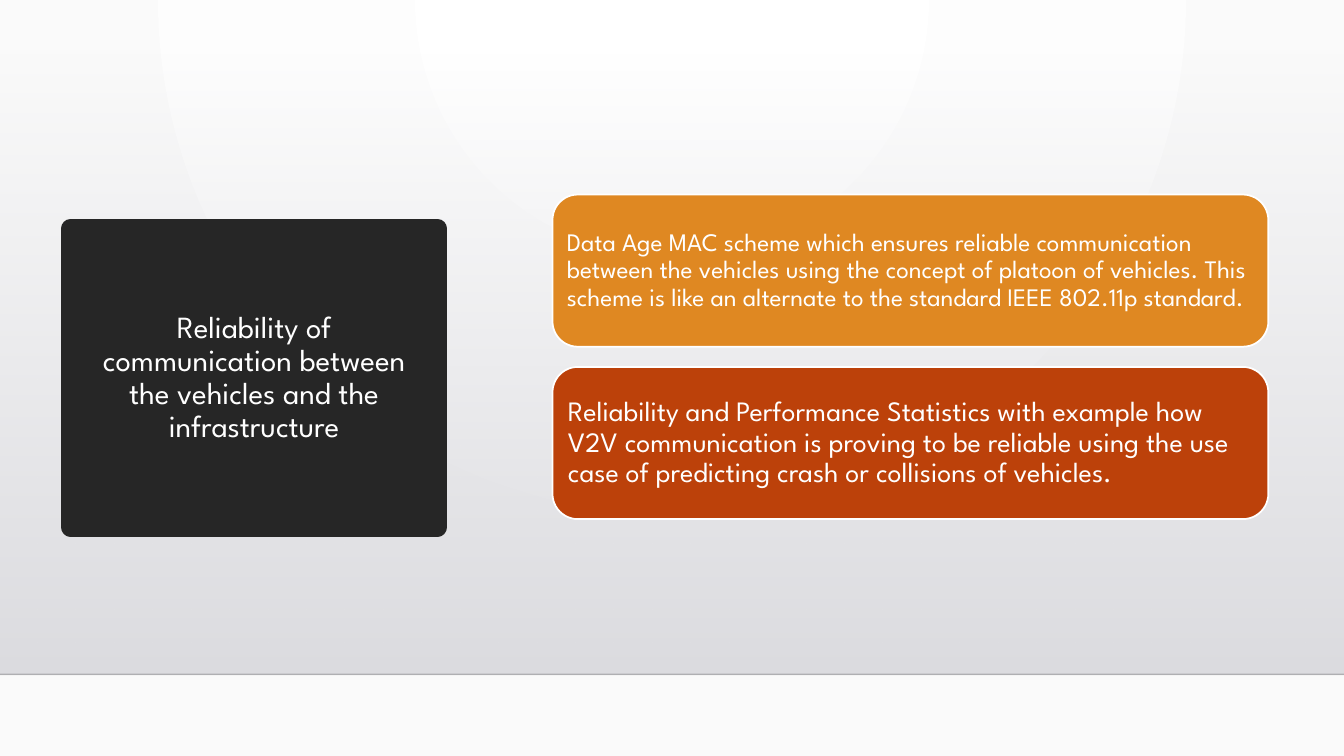
from lxml.etree import SubElement
from pptx import Presentation
from pptx.dml.color import RGBColor
from pptx.enum.shapes import MSO_CONNECTOR, MSO_SHAPE
from pptx.enum.text import MSO_ANCHOR, PP_ALIGN
from pptx.oxml import parse_xml
from pptx.oxml.ns import nsdecls, qn
from pptx.util import Inches, Pt

COLORS = {
    "white": "FFFFFF",
    "backdrop": "FAFAFA",
    "haze_top": "DCDCE0",
    "haze_bottom": "DEDEE2",
    "floor": "000001",
    "title": "262626",
    "orange": "DF8822",
    "rust": "BC410A",
}
FONT = "League Spartan"
WIDTH, HEIGHT = 13.33, 7.5
FLOOR_TOP = 6.69
CARD_TOP, CARD_STEP = 1.93, 1.71
CARDS = [
    ("Data Age MAC scheme which ensures reliable communication between the "
     "vehicles using the concept of platoon of vehicles. This scheme is like "
     "an alternate to the standard IEEE 802.11p standard.", "orange", 18, 0.07),
    ("Reliability and Performance Statistics with example how V2V communication "
     "is proving to be reliable using the use case of predicting crash or "
     "collisions of vehicles.", "rust", 20, 0.08),
]


def rgb(name):
    """Return the named colour as an RGBColor."""
    return RGBColor.from_string(COLORS[name])


def gradient_xml(stops, direction):
    """Build a gradient fill from (position, colour, alpha) stops in percent."""
    stop_list = "".join(
        f'<a:gs pos="{position * 1000}"><a:srgbClr val="{COLORS[color]}">'
        f'<a:alpha val="{alpha * 1000}"/></a:srgbClr></a:gs>'
        for position, color, alpha in stops
    )
    return parse_xml(
        f'<a:gradFill {nsdecls("a")} rotWithShape="1">'
        f"<a:gsLst>{stop_list}</a:gsLst>{direction}</a:gradFill>"
    )


def set_gradient(fill, parent, stops, direction):
    """Give a shape or background a custom gradient."""
    fill.gradient()
    parent.replace(parent.find(qn("a:gradFill")), gradient_xml(stops, direction))


def write_text(shape, text, size, inset, align=PP_ALIGN.LEFT):
    """Write one vertically centred paragraph into a shape."""
    frame = shape.text_frame
    frame.word_wrap = True
    frame.vertical_anchor = MSO_ANCHOR.MIDDLE
    frame.margin_left = frame.margin_right = Inches(inset)
    frame.margin_top = frame.margin_bottom = Inches(inset)
    paragraph = frame.paragraphs[0]
    paragraph.text = text
    paragraph.alignment = align
    paragraph.line_spacing = 0.9
    font = paragraph.runs[0].font
    font.name = FONT
    font.size = Pt(size)
    font.color.rgb = rgb("white")


def add_panel(slide, kind, box, fill, line, line_width):
    """Add a filled and outlined shape."""
    shape = slide.shapes.add_shape(kind, *map(Inches, box))
    shape.shadow.inherit = False
    shape.fill.solid()
    shape.fill.fore_color.rgb = rgb(fill)
    shape.line.color.rgb = rgb(line)
    shape.line.width = Pt(line_width)
    SubElement(shape.line._get_or_add_ln(), qn("a:round"))
    return shape


def add_backdrop(slide):
    """Paint the radial background, the haze and the floor line."""
    background = slide.background.fill
    background.gradient()
    properties = slide.background._cSld.bg.bgPr
    set_gradient(
        background, properties,
        [(0, "white", 100), (100, "backdrop", 100)],
        '<a:path path="circle"><a:fillToRect l="43000" r="43000" b="100000"/></a:path>',
    )
    haze = slide.shapes.add_shape(
        MSO_SHAPE.RECTANGLE, 0, Inches(0.51), Inches(WIDTH), Inches(FLOOR_TOP - 0.51)
    )
    haze.shadow.inherit = False
    haze.line.fill.background()
    set_gradient(
        haze.fill, haze._element.spPr,
        [(0, "haze_top", 0), (100, "haze_bottom", 100)],
        '<a:lin ang="5400000" scaled="0"/>',
    )
    floor = slide.shapes.add_connector(
        MSO_CONNECTOR.STRAIGHT, 0, Inches(FLOOR_TOP), Inches(WIDTH), Inches(FLOOR_TOP)
    )
    floor.line.width = Pt(1)
    floor.line.color.rgb = rgb("floor")
    properties = floor._element.spPr
    SubElement(next(properties.iter(qn("a:srgbClr"))), qn("a:alpha"), val="20000")
    SubElement(properties, qn("a:effectLst"))


def main():
    """Build the slide and save it."""
    presentation = Presentation()
    presentation.slide_width = Inches(WIDTH)
    presentation.slide_height = Inches(HEIGHT)
    slide = presentation.slides.add_slide(presentation.slide_layouts[6])
    add_backdrop(slide)
    title = add_panel(
        slide, MSO_SHAPE.RECTANGLE, (0.7, 2.27, 3.64, 2.96), "title", "title", 13.75
    )
    write_text(
        title, "Reliability of communication between the vehicles and the infrastructure",
        size=22, inset=0.2, align=PP_ALIGN.CENTER,
    )
    for index, (text, color, size, inset) in enumerate(CARDS):
        box = (5.48, CARD_TOP + index * CARD_STEP, 7.1, 1.51)
        card = add_panel(slide, MSO_SHAPE.ROUNDED_RECTANGLE, box, color, "white", 1.25)
        write_text(card, text, size=size, inset=inset)
    presentation.save("out.pptx")


if __name__ == "__main__":
    main()
